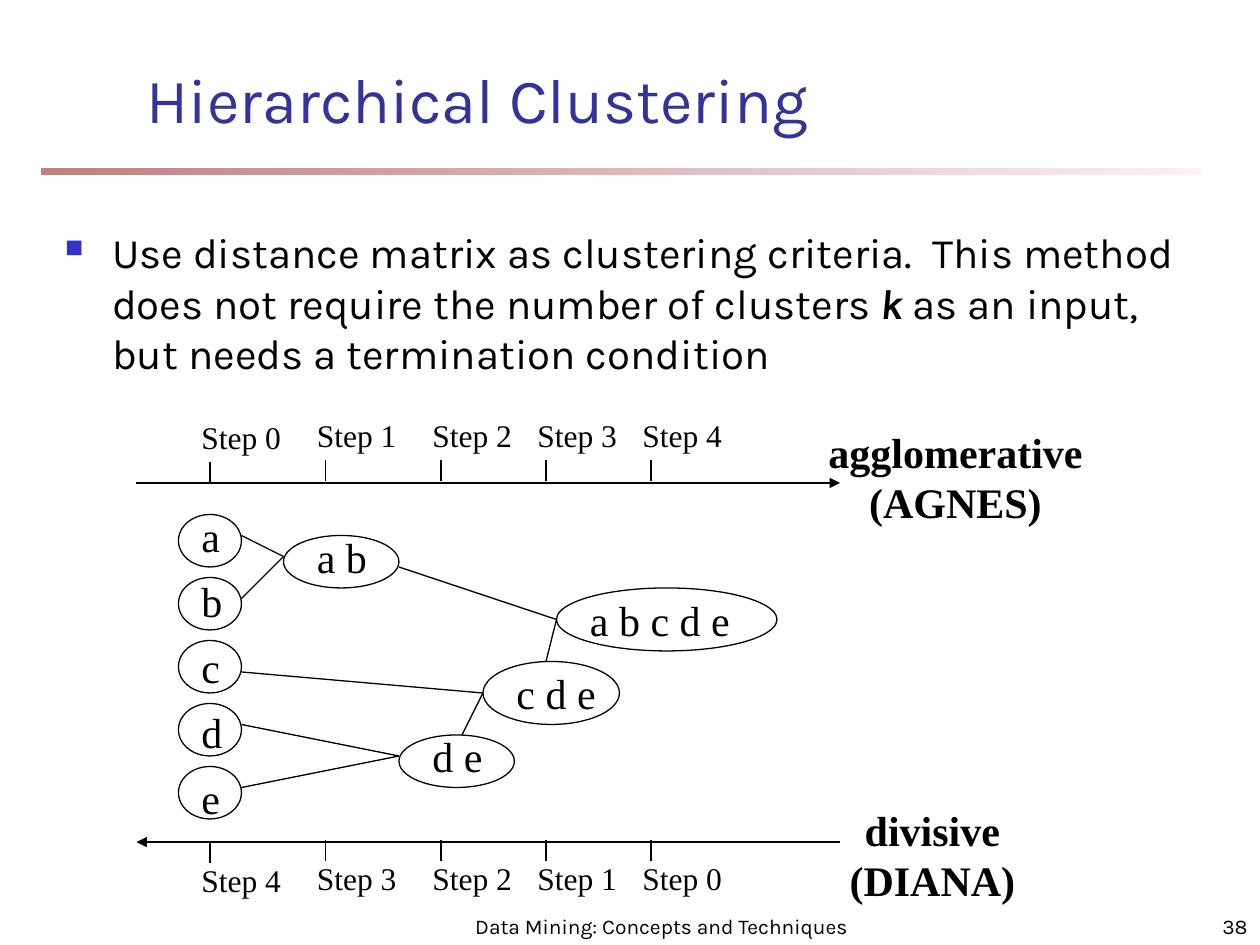
import collections

import pptx
import pptx.dml.color
import pptx.enum.dml
import pptx.enum.shapes
import pptx.enum.text
import pptx.oxml
import pptx.oxml.ns
import pptx.util

SCALE = 914400 // 120  # EMU in one px
Box = collections.namedtuple("Box", "left top width height")
ANCHOR = pptx.enum.text.MSO_ANCHOR
ALIGN = pptx.enum.text.PP_ALIGN
SHAPE = pptx.enum.shapes.MSO_SHAPE
THEME = {
    "title": {"name": "Karla", "size": 36, "color": "333399"},
    "body": {"name": "Karla", "size": 24, "color": "000000"},
    "footer": {"name": "Karla", "size": 12, "color": "000000"},
    "step": {"name": "Times New Roman", "size": 18, "color": "000000"},
    "node": {"name": "Times New Roman", "size": 24, "color": "000000"},
    "method": {"name": "Times New Roman", "size": 24, "color": "000000", "bold": True},
    "line": "000000",
    "bullet": "3333CC",
    "rule": ("FAE2F6", "800000"),
    "thin": 0.75,
    "thick": 1.5,
}


def rgb(value):
    return pptx.dml.color.RGBColor.from_string(value)


def emu(*lengths):
    return [length * SCALE for length in lengths]


def add_xml(parent, tag, **attributes):
    child = pptx.oxml.parse_xml(f"<a:{tag} {pptx.oxml.ns.nsdecls('a')}/>")
    for name, value in attributes.items():
        child.set(name, value)
    parent.append(child)


def add_span(para, text, style, **changes):
    span = para.add_run()
    span.text = text
    values = {**THEME[style], **changes}
    span.font.color.rgb = rgb(values.pop("color"))
    values["size"] = pptx.util.Pt(values["size"])
    for name, value in values.items():
        setattr(span.font, name, value)


def add_text(page, box, lines, style, frame=None, para_format=None):
    """Add a text box; each line is a list of (text, font changes)."""
    text_frame = page.shapes.add_textbox(*emu(*box)).text_frame
    for name, value in {"word_wrap": True, **(frame or {})}.items():
        setattr(text_frame, name, value)
    for index, spans in enumerate(lines):
        para = text_frame.add_paragraph() if index else text_frame.paragraphs[0]
        for name, value in (para_format or {}).items():
            setattr(para, name, value)
        for text, changes in spans:
            add_span(para, text, style, **changes)
    return text_frame


def add_line(page, start, end, width="thin", arrow=None):
    """Draw a straight line; arrow is headEnd (start) or tailEnd (end)."""
    line = page.shapes.add_connector(
        pptx.enum.shapes.MSO_CONNECTOR.STRAIGHT, *emu(*start, *end))
    line.line.color.rgb = rgb(THEME["line"])
    line.line.width = pptx.util.Pt(THEME[width])
    if arrow:
        add_xml(line.line._get_or_add_ln(), arrow, type="triangle")
    add_xml(line._element.spPr, "effectLst")


def add_title(page, box):
    add_text(page, Box(box.left + 88, box.top, 958, 58),
             [[("Hierarchical Clustering", {})]], "title",
             {"vertical_anchor": ANCHOR.MIDDLE})
    rule = page.shapes.add_shape(
        SHAPE.RECTANGLE, *emu(box.left, box.top + 95, box.width, 6))
    rule.shadow.inherit = False
    rule.line.fill.background()
    rule.fill.gradient()
    rule.fill.gradient_angle = 180
    for stop, color in zip(rule.fill.gradient_stops, THEME["rule"]):
        stop.color.rgb = rgb(color)
    for color in rule._element.spPr.iter(pptx.oxml.ns.qn("a:srgbClr")):
        add_xml(color, "alpha", val="50000")


def add_body(page, box):
    spans = [
        ("Use distance matrix as clustering criteria.  This method does not "
         "require the number of clusters ", {}),
        ("k", {"bold": True, "italic": True}),
        (" as an input, but needs a termination condition", {}),
    ]
    text_frame = add_text(page, box, [spans], "body",
                          para_format={"space_before": pptx.util.Pt(15)})
    properties = text_frame.paragraphs[0]._p.get_or_add_pPr()
    indent = 45 * SCALE
    properties.set("marL", str(indent))
    properties.set("indent", str(-indent))
    add_xml(properties, "buClr")
    add_xml(properties[-1], "srgbClr", val=THEME["bullet"])
    add_xml(properties, "buSzPct", val="60000")
    add_xml(properties, "buChar", char="■")


def add_axis(page, box, steps, arrow, axis_drop, tick_drop, label_drop):
    """Draw a time axis with step ticks; drops are measured from the box top."""
    right, axis_y = box.left + box.width, box.top + axis_drop
    add_line(page, (box.left, axis_y), (right, axis_y), "thick", arrow)
    for index, (offset, step) in enumerate(zip((70, 180, 290, 390, 490), steps)):
        x = box.left + offset
        top = box.top + (0 if index else 2)
        add_line(page, (x, top + tick_drop), (x, top + tick_drop + 20))
        add_text(page, Box(x - 20, top + label_drop, 100, 48),
                 [[(f"Step {step}", {})]], "step",
                 {"auto_size": pptx.enum.text.MSO_AUTO_SIZE.SHAPE_TO_FIT_TEXT},
                 {"space_before": pptx.util.Pt(11.2)})


def add_unwrapped(page, box, lines, style, para_format=None):
    add_text(page, box, [[(line, {})] for line in lines], style,
             {"word_wrap": False,
              "auto_size": pptx.enum.text.MSO_AUTO_SIZE.SHAPE_TO_FIT_TEXT},
             para_format)


def add_node(page, box, text, label):
    oval = page.shapes.add_shape(SHAPE.OVAL, *emu(*box))
    oval.shadow.inherit = False
    oval.fill.background()
    oval.line.color.rgb = rgb(THEME["line"])
    oval.line.width = pptx.util.Pt(THEME["thin"])
    add_unwrapped(page, label, [text], "node")


def add_tree(page, box):
    left, top = box.left, box.top
    for index, letter in enumerate("abcde"):
        add_node(page, Box(left, top + 60 * index, 60, 50), letter,
                 Box(left + 10, top - 10 + 125 * index // 2, 44, 60))
    clusters = [  # text, oval, label rise, label width
        ("a b", Box(100, 20, 110, 50), 10, 74),
        ("d e", Box(210, 210, 110, 50), 10, 74),
        ("c d e", Box(290, 140, 130, 60), 0, 102),
        ("a b c d e", Box(360, 70, 210, 60), 0, 160),
    ]
    for text, oval, rise, width in clusters:
        x, y = left + oval.left, top + oval.top
        add_node(page, Box(x, y, oval.width, oval.height), text,
                 Box(x + 20, y - rise, width, 60))
    merges = {  # meeting point: starts of its two branches
        (100, 40): [(60, 20), (60, 80)],
        (210, 230): [(60, 200), (60, 260)],
        (290, 170): [(60, 150), (270, 210)],
        (360, 100): [(210, 50), (350, 140)],
    }
    for (end_x, end_y), starts in merges.items():
        for x, y in starts:
            add_line(page, (left + x, top + y), (left + end_x, top + end_y))


def add_method(page, box, lines):
    add_text(page, box, [[(line, {})] for line in lines], "method",
             {"word_wrap": False}, {"alignment": ALIGN.CENTER})


def add_footer(page, box):
    parts = [
        ("Data Mining: Concepts and Techniques", 440, 380, ALIGN.CENTER),
        ("38", 950, 250, ALIGN.RIGHT),
    ]
    for text, offset, width, alignment in parts:
        add_text(page, Box(box.left + offset, box.top, width, box.height),
                 [[(text, {})]], "footer", {"vertical_anchor": ANCHOR.BOTTOM},
                 {"alignment": alignment})


def main():
    deck = pptx.Presentation()
    deck.slide_width, deck.slide_height = emu(1200, 900)
    page = deck.slides.add_slide(deck.slide_layouts[6])
    add_title(page, Box(40, 65, 1104, 101))
    add_body(page, Box(50, 210, 1090, 640))
    add_axis(page, Box(130, 390, 670, 70), range(5), "tailEnd", 70, 48, 0)
    add_tree(page, Box(170, 490, 570, 290))
    add_axis(page, Box(130, 800, 670, 60), range(4, -1, -1), "headEnd", 2, 0, 12)
    add_method(page, Box(772, 400, 276, 108), ["agglomerative", "(AGNES)"])
    add_method(page, Box(792, 760, 192, 108), ["divisive", "(DIANA)"])
    add_footer(page, Box(0, 850, 1200, 50))
    deck.save("out.pptx")


if __name__ == "__main__":
    main()
